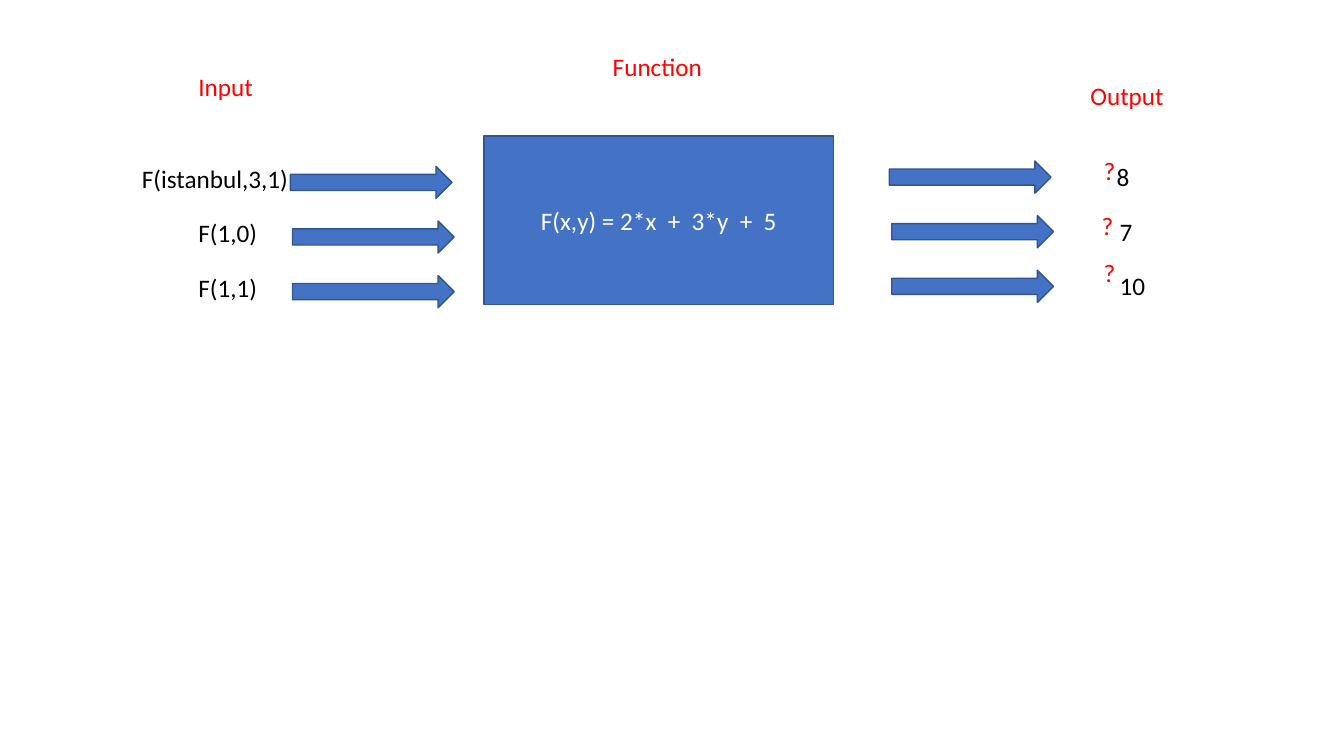
"""Build a slide showing inputs passing through a function to outputs."""
from pptx import Presentation
from pptx.dml.color import RGBColor
from pptx.enum.shapes import MSO_SHAPE
from pptx.enum.text import MSO_ANCHOR, MSO_AUTO_SIZE, PP_ALIGN
from pptx.util import Pt

BLACK, RED, WHITE = "000000", "FF0000", "FFFFFF"
BLUE, DARK_BLUE = "4472C4", "325491"
FIRST_ROW_TOP, ROW_STEP = 113, 39


def add_label(text, left, top, width, color):
    label = slide.shapes.add_textbox(Pt(left), Pt(top), Pt(width), Pt(29))
    label.text_frame.word_wrap = False
    label.text_frame.auto_size = MSO_AUTO_SIZE.SHAPE_TO_FIT_TEXT
    paragraph = label.text_frame.paragraphs[0]
    paragraph.text = text
    paragraph.font.name = "Calibri"
    paragraph.font.size = Pt(18)
    paragraph.font.color.rgb = RGBColor.from_string(color)


def add_blue_shape(kind, left, top, width, height):
    shape = slide.shapes.add_shape(kind, Pt(left), Pt(top), Pt(width), Pt(height))
    shape.shadow.inherit = False
    shape.fill.solid()
    shape.fill.fore_color.rgb = RGBColor.from_string(BLUE)
    shape.line.color.rgb = RGBColor.from_string(DARK_BLUE)
    shape.line.width = Pt(1)
    return shape


presentation = Presentation()
presentation.slide_width = Pt(960)
presentation.slide_height = Pt(540)
slide = presentation.slides.add_slide(presentation.slide_layouts[6])

function_box = add_blue_shape(MSO_SHAPE.RECTANGLE, 345.6, 97.2, 250, 120.2)
function_box.text_frame.vertical_anchor = MSO_ANCHOR.MIDDLE
formula = function_box.text_frame.paragraphs[0]
formula.text = "F(x,y) = 2*x  +  3*y  +  5"
formula.alignment = PP_ALIGN.CENTER
formula.font.name = "Calibri"
formula.font.size = Pt(18)
formula.font.color.rgb = RGBColor.from_string(WHITE)

for heading, left, top, width in [
    ("Function", 430.6, 33.1, 79.2),
    ("Input", 134.6, 47.5, 54),
    ("Output", 771.8, 54, 67.7),
]:
    add_label(heading, left, top, width, RED)

rows = [
    ("F(istanbul,3,1)", 94.3, 120.2, 207.4, 635.2, "8", 790.6, 23.8, 781.2, 107.3),
    ("F(1,0)", 134.6, 56.9, 208.9, 637, "7", 792.7, 23.8, 779.8, 146.9),
    ("F(1,1)", 134.6, 56.9, 208.9, 637, "10", 792.7, 33.1, 781.2, 180),
]
for index, row in enumerate(rows):
    (call, call_left, call_width, input_arrow_left, output_arrow_left,
     result, result_left, result_width, question_left, question_top) = row
    top = FIRST_ROW_TOP + index * ROW_STEP
    add_label(call, call_left, top, call_width, BLACK)
    add_blue_shape(MSO_SHAPE.RIGHT_ARROW, input_arrow_left, top + 5.8, 115.5, 23)
    add_blue_shape(MSO_SHAPE.RIGHT_ARROW, output_arrow_left, top + 2, 115.5, 23)
    add_label(result, result_left, top - 1.2, result_width, BLACK)
    add_label("?", question_left, question_top, 23, RED)

presentation.save("out.pptx")
